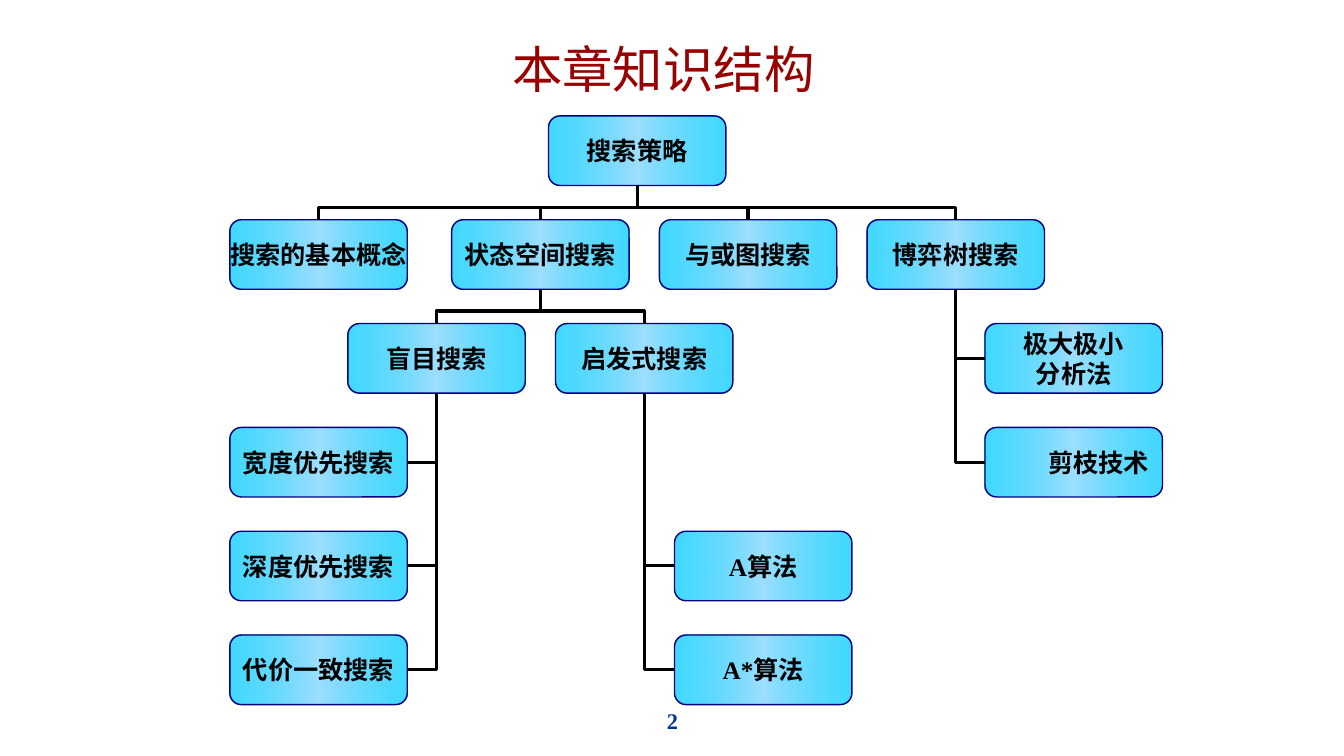
from dataclasses import dataclass

from lxml.etree import SubElement
from pptx import Presentation
from pptx.dml.color import RGBColor
from pptx.enum.shapes import MSO_CONNECTOR, MSO_SHAPE
from pptx.enum.text import MSO_ANCHOR, PP_ALIGN
from pptx.oxml import parse_xml
from pptx.oxml.ns import nsdecls, qn
from pptx.util import Inches, Pt


@dataclass(frozen=True)
class Theme:
    latin: str = "Times New Roman"
    cjk: str = "Noto Sans CJK SC"
    title: str = "990000"
    number: str = "003399"
    ink: str = "000000"
    border: str = "000080"
    edge: str = "00CCFF"
    middle: str = "9EDFFF"
    edge_alpha: int = 74
    title_size: int = 36
    node_size: int = 18
    number_size: int = 16


THEME = Theme()
NODE_W, NODE_H = 1.76, 0.69
TOP, ROW_STEP = 1.15, 1.03
BOTTOM_SITE = 2

# name: (text, left, row)
NODES = {
    "root": ("搜索策略", 5.44, 0),
    "basics": ("搜索的基本概念", 2.28, 1),
    "state": ("状态空间搜索", 4.48, 1),
    "and_or": ("与或图搜索", 6.54, 1),
    "game": ("博弈树搜索", 8.6, 1),
    "blind": ("盲目搜索", 3.45, 2),
    "heuristic": ("启发式搜索", 5.51, 2),
    "minimax": ("极大极小\n分析法", 9.77, 2),
    "pruning": ("剪枝技术", 9.77, 3),
    "breadth": ("宽度优先搜索", 2.28, 3),
    "depth": ("深度优先搜索", 2.28, 4),
    "cost": ("代价一致搜索", 2.28, 5),
    "a": ("A算法", 6.69, 4),
    "a_star": ("A*算法", 6.69, 5),
}
FORKS = {
    "root": ["basics", "state", "and_or", "game"],
    "state": ["blind", "heuristic"],
}
HANGERS = {
    "game": ["minimax", "pruning"],
    "blind": ["breadth", "depth", "cost"],
    "heuristic": ["a", "a_star"],
}


def write_text(sp, text, *, size, color, bold=False, latin=THEME.latin,
               align=PP_ALIGN.CENTER, spacing=None, wrap=True, inset=None):
    tf = sp.text_frame
    tf.word_wrap = wrap
    tf.vertical_anchor = MSO_ANCHOR.MIDDLE
    if inset is not None:
        tf.margin_left = tf.margin_right = Inches(inset)
        tf.margin_top = tf.margin_bottom = 0
    for i, line in enumerate(text.split("\n")):
        p = tf.add_paragraph() if i else tf.paragraphs[0]
        p.alignment = align
        if spacing:
            p.line_spacing = spacing
        r = p.add_run()
        r.text = line
        r.font.size = Pt(size)
        r.font.bold = bold
        r.font.color.rgb = RGBColor.from_string(color)
        r.font.name = latin
        SubElement(r.font._element, qn("a:ea"), typeface=THEME.cjk)


def add_label(slide, text, left, top, width, height, **fmt):
    sp = slide.shapes.add_textbox(*map(Inches, (left, top, width, height)))
    write_text(sp, text, **fmt)


def fill_gradient(sp):
    """Horizontal fill, lighter in the middle and see-through at both edges."""
    edge = (f'<a:srgbClr val="{THEME.edge}">'
            f'<a:alpha val="{THEME.edge_alpha * 1000}"/></a:srgbClr>')
    grad = parse_xml(
        f'<a:gradFill {nsdecls("a")} rotWithShape="1"><a:gsLst>'
        f'<a:gs pos="0">{edge}</a:gs>'
        f'<a:gs pos="50000"><a:srgbClr val="{THEME.middle}"/></a:gs>'
        f'<a:gs pos="100000">{edge}</a:gs>'
        '</a:gsLst><a:lin ang="0" scaled="1"/></a:gradFill>')
    sp._element.spPr.find(qn("a:prstGeom")).addnext(grad)


def add_node(slide, text, left, row, **fmt):
    sp = slide.shapes.add_shape(
        MSO_SHAPE.ROUNDED_RECTANGLE, Inches(left), Inches(TOP + row * ROW_STEP),
        Inches(NODE_W), Inches(NODE_H))
    sp.shadow.inherit = False
    fill_gradient(sp)
    sp.line.color.rgb = RGBColor.from_string(THEME.border)
    sp.line.width = Pt(1)
    write_text(sp, text, size=THEME.node_size, color=THEME.ink, bold=True, **fmt)
    return sp


def add_elbow(slide, child, site, parent):
    cxn = slide.shapes.add_connector(MSO_CONNECTOR.ELBOW, 0, 0, 0, 0)
    cxn.begin_connect(child, site)
    cxn.end_connect(parent, BOTTOM_SITE)
    cxn.line.color.rgb = RGBColor.from_string(THEME.ink)
    cxn.line.width = Pt(2.25)
    SubElement(cxn._element.spPr, qn("a:effectLst"))
    return cxn


def add_fork(slide, child, parent):
    """Three-part elbow from the child's top up to the parent's bottom."""
    cxn = add_elbow(slide, child, 0, parent)
    x1, y1, x2, y2 = cxn.begin_x, cxn.begin_y, cxn.end_x, cxn.end_y
    rise, run = abs(y2 - y1), abs(x2 - x1)
    xfrm = cxn._element.spPr.find(qn("a:xfrm"))
    for flip in ("flipH", "flipV"):
        xfrm.attrib.pop(flip, None)
    # The frame is stored unrotated, so its width is the vertical rise.
    cxn.left, cxn.top = (x1 + x2 - rise) // 2, (y1 + y2 - run) // 2
    cxn.width, cxn.height = rise, run
    xfrm.set("rot", str((90 if x1 > x2 else 270) * 60000))
    if x1 > x2:
        xfrm.set("flipH", "1")
    guides = cxn._element.spPr.find(qn("a:prstGeom")).find(qn("a:avLst"))
    SubElement(guides, qn("a:gd"), name="adj1", fmla="val 36500")


def add_hanger(slide, child, parent):
    """Single-corner elbow from the child's near side to the parent's bottom."""
    site = 1 if child.left > parent.left else 3
    cxn = add_elbow(slide, child, site, parent)
    cxn._element.spPr.find(qn("a:prstGeom")).set("prst", "bentConnector2")


def main():
    prs = Presentation()
    prs.slide_width, prs.slide_height = Inches(13.33), Inches(7.5)
    slide = prs.slides.add_slide(prs.slide_layouts[6])

    add_label(slide, "本章知识结构", 2.08, 0.36, 9, 0.71, size=THEME.title_size,
              color=THEME.title, latin=THEME.cjk, spacing=0.9)
    add_label(slide, "2", 4.42, 6.95, 4.5, 0.4, size=THEME.number_size,
              color=THEME.number, bold=True)

    formats = {"pruning": dict(align=PP_ALIGN.RIGHT, wrap=True, inset=0.1)}
    plain = dict(wrap=False, inset=0)
    nodes = {name: add_node(slide, *node, **formats.get(name, plain))
             for name, node in NODES.items()}

    for tree, join in ((FORKS, add_fork), (HANGERS, add_hanger)):
        for parent, children in tree.items():
            for child in children:
                join(slide, nodes[child], nodes[parent])

    prs.save("out.pptx")


if __name__ == "__main__":
    main()
